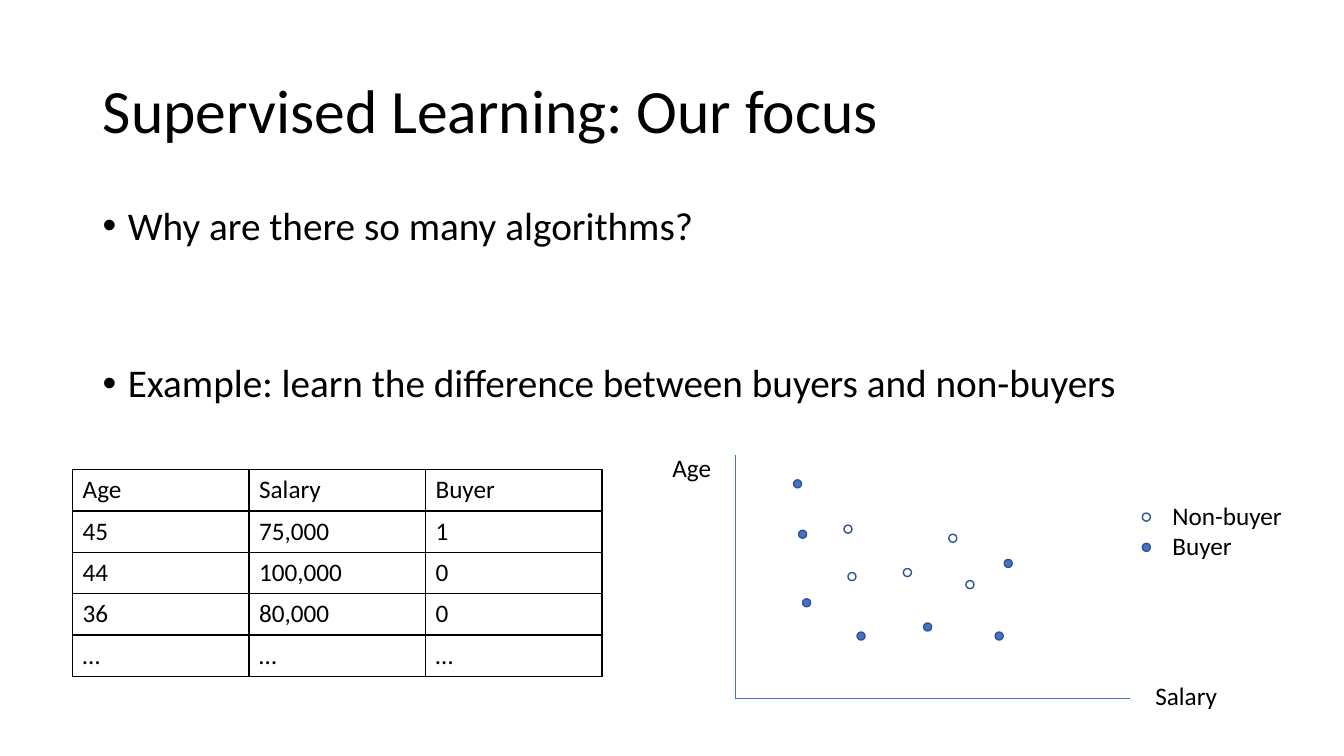
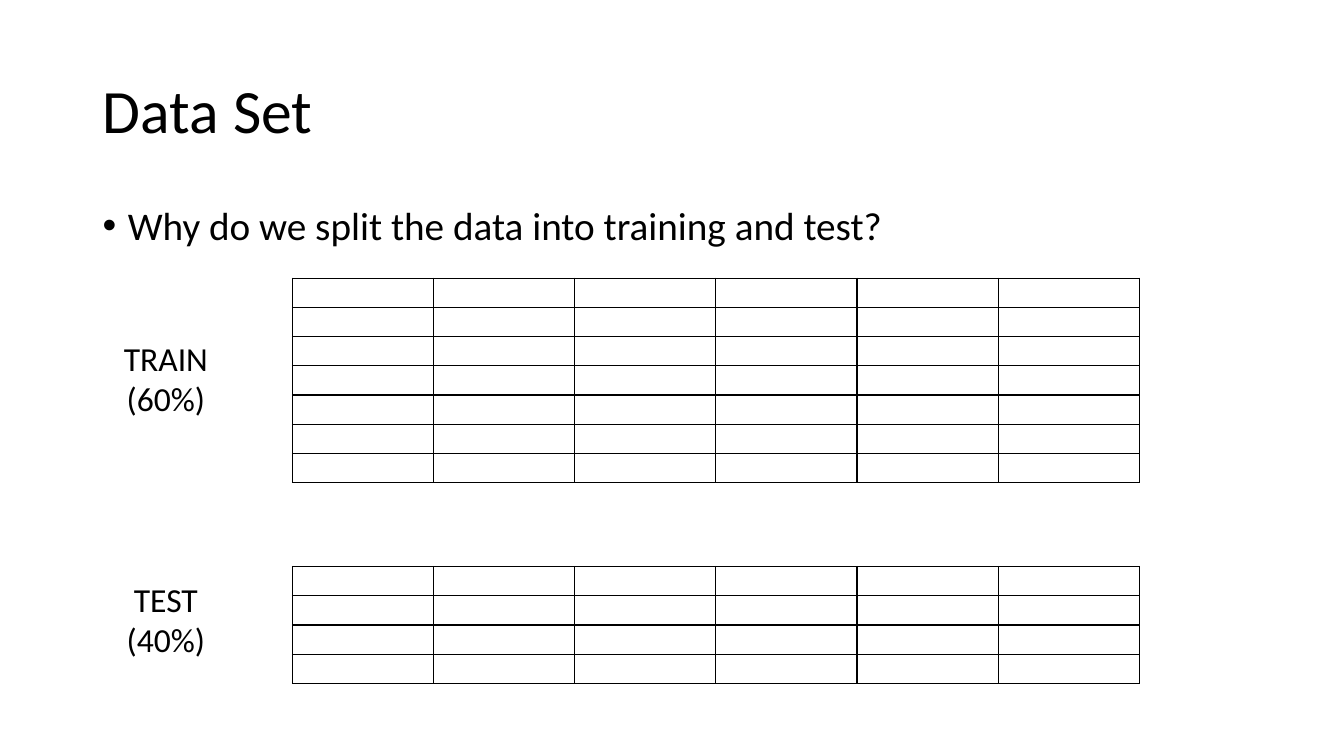
import dataclasses
import pptx
import pptx.dml.color
import pptx.enum.shapes
import pptx.enum.text
import pptx.oxml
import pptx.oxml.ns
import pptx.util
from lxml import etree

SCALE = 9144
ALIGN = pptx.enum.text.PP_ALIGN
ANCHOR = pptx.enum.text.MSO_ANCHOR
SHAPE = pptx.enum.shapes.MSO_SHAPE
LINK = pptx.enum.shapes.MSO_CONNECTOR
qn = pptx.oxml.ns.qn


def px(*vals):
    return [pptx.util.Emu(val * SCALE) for val in vals]


def rgb(code):
    return pptx.dml.color.RGBColor.from_string(code)


@dataclasses.dataclass(frozen=True)
class Theme:
    font: str = "Calibri"
    ink: str = "000000"
    blue: str = "4472C4"
    edge: str = "325491"
    head: int = 44
    body: int = 28
    tag: int = 24
    small: int = 18
    blank: int = 10
    lead: float = 0.9


class Deck:
    """Holds the style and the current slide, and draws each kind of element."""

    def __init__(self, theme):
        self.theme = theme
        self.prs = pptx.Presentation()
        self.prs.slide_width, self.prs.slide_height = px(1333, 750)
        self.slide = None

    def style(self, para, size, bold=False, align=ALIGN.LEFT):
        para.alignment = align
        font = para.font
        font.name, font.size, font.bold = self.theme.font, pptx.util.Pt(size), bold
        font.color.rgb = rgb(self.theme.ink)

    def start(self, title):
        self.slide = self.prs.slides.add_slide(self.prs.slide_layouts[5])
        box = self.slide.shapes.title
        box.left, box.top, box.width, box.height = px(92, 40, 1150, 145)
        frame = box.text_frame
        frame.text = title
        frame.vertical_anchor = ANCHOR.MIDDLE
        frame.auto_size = pptx.enum.text.MSO_AUTO_SIZE.NONE
        para = frame.paragraphs[0]
        para.line_spacing = self.theme.lead
        self.style(para, self.theme.head)

    def text(self, lines, x, y, w, h, size, align=ALIGN.LEFT):
        frame = self.slide.shapes.add_textbox(*px(x, y, w, h)).text_frame
        frame.word_wrap = True
        frame.text = "\n".join(lines)
        for para in frame.paragraphs:
            self.style(para, size, align=align)
        return frame

    def points(self, lines, gap=0):
        frame = self.slide.shapes.add_textbox(*px(92, 200, 1150, 476)).text_frame
        frame.word_wrap = True
        frame.text = "\n".join(lines)
        for num, para in enumerate(frame.paragraphs):
            props = para._p.get_or_add_pPr()
            props.set("marL", str(25 * SCALE))
            props.set("indent", str(-25 * SCALE))
            etree.SubElement(props, qn("a:buFont"), typeface="Arial")
            etree.SubElement(props, qn("a:buChar"), char="•")
            para.line_spacing = self.theme.lead
            if num:
                para.space_before = pptx.util.Pt(gap)
            self.style(para, self.theme.body)

    def line(self, x1, y1, x2, y2):
        line = self.slide.shapes.add_connector(LINK.STRAIGHT, *px(x1, y1, x2, y2))
        line.line.color.rgb = rgb(self.theme.blue)
        line.line.width = pptx.util.Pt(0.5)
        etree.SubElement(line._element.spPr, qn("a:effectLst"))

    def dot(self, x, y, full):
        dot = self.slide.shapes.add_shape(SHAPE.OVAL, *px(x, y, 8, 8))
        dot.shadow.inherit = False
        if full:
            dot.fill.solid()
            dot.fill.fore_color.rgb = rgb(self.theme.blue)
        else:
            dot.fill.background()
        dot.line.color.rgb = rgb(self.theme.edge)
        dot.line.width = pptx.util.Pt(1)

    def cell(self, cell, text, bold):
        props = cell._tc.get_or_add_tcPr()
        for side in ("lnL", "lnR", "lnT", "lnB"):
            edge = etree.SubElement(props, qn("a:" + side), w="12700")
            fill = etree.SubElement(edge, qn("a:solidFill"))
            etree.SubElement(fill, qn("a:srgbClr"), val=self.theme.ink)
        cell.fill.background()
        para = cell.text_frame.paragraphs[0]
        if text:
            cell.text = text
            self.style(para, self.theme.small, bold)
        else:
            size = str(self.theme.blank * 100)
            etree.SubElement(para._p, qn("a:endParaRPr"), sz=size)

    def table(self, rows, x, y, wide, high, head=False):
        count, cols = len(rows), len(rows[0])
        area = px(x, y, wide * cols, high * count)
        table = self.slide.shapes.add_table(count, cols, *area).table
        table.first_row = table.horz_banding = False
        for col in table.columns:
            col.width = px(wide)[0]
        for num, (row, vals) in enumerate(zip(table.rows, rows)):
            row.height = px(high)[0]
            for cell, val in zip(row.cells, vals):
                self.cell(cell, val, head and num == 0)


def focus(deck):
    deck.start("Supervised Learning: Our focus")
    deck.points(["Why are there so many algorithms?",
                 "Example: learn the difference between buyers and non-buyers"], 82)
    deck.line(729, 451, 729, 693)
    deck.line(1121, 693, 729, 693)
    buyers = [(787, 476), (792, 526), (916, 618), (987, 627), (996, 555),
              (850, 627), (796, 594), (1133, 539)]
    others = [(837, 521), (841, 568), (896, 564), (941, 530), (958, 576),
              (1133, 509)]
    for spots, full in ((buyers, True), (others, False)):
        for x, y in spots:
            deck.dot(x, y, full)
    for label, x, y, w in (("Buyer", 1153, 521, 92), ("Non-buyer", 1153, 491, 150),
                           ("Salary", 1136, 670, 92), ("Age", 657, 444, 72)):
        deck.text([label], x, y, w, 40, deck.theme.small)
    rows = [("Age", "Salary", "Buyer"), ("45", "75,000", "1"),
            ("44", "100,000", "0"), ("36", "80,000", "0"), ("…", "…", "…")]
    deck.table(rows, 72, 466, 175, 41, head=True)


def split(deck):
    deck.start("Data Set")
    deck.points(["Why do we split the data into training and test?"])
    for name, share, count, top, mid in (("TRAIN", "(60%)", 7, 276, 330),
                                         ("TEST", "(40%)", 4, 562, 569)):
        deck.table([[""] * 6] * count, 290, top, 140, 29)
        deck.text([name, share], 69, mid, 191, 91, deck.theme.tag, ALIGN.CENTER)


def main():
    deck = Deck(Theme())
    focus(deck)
    split(deck)
    deck.prs.save("out.pptx")


if __name__ == "__main__":
    main()
